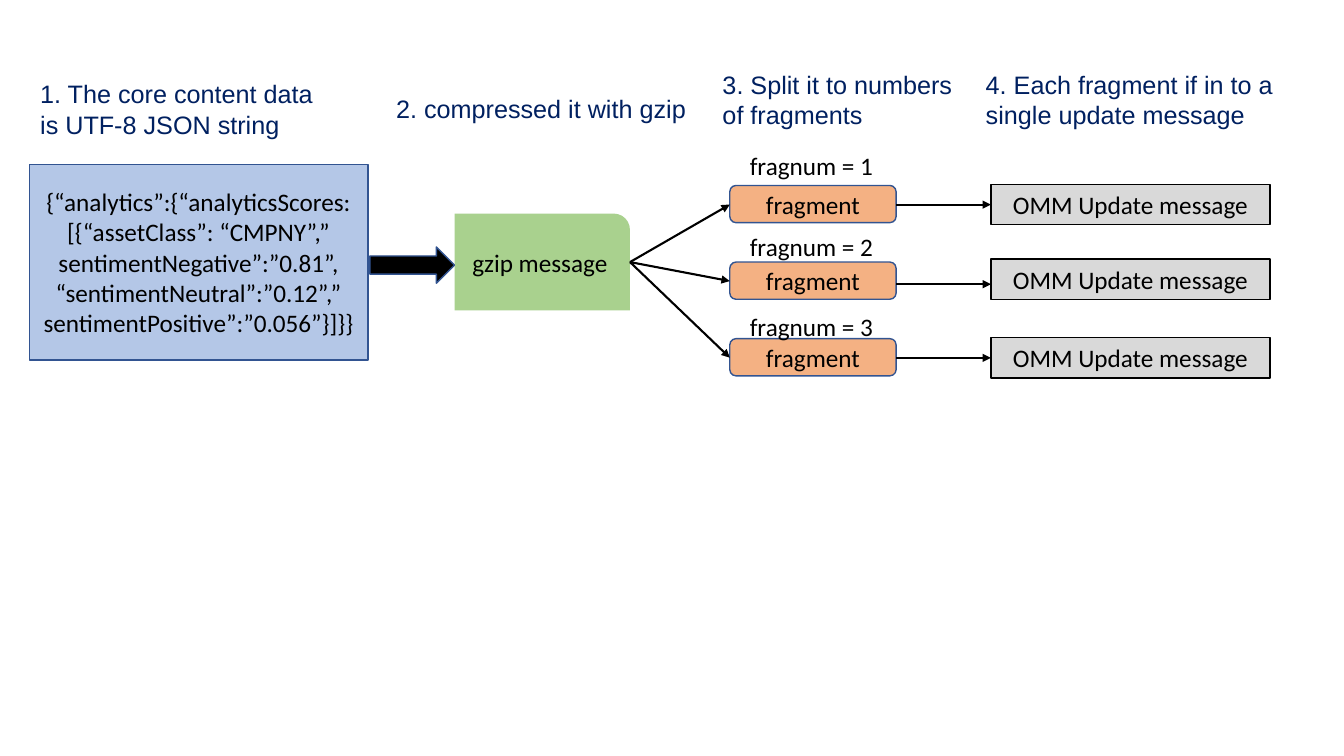
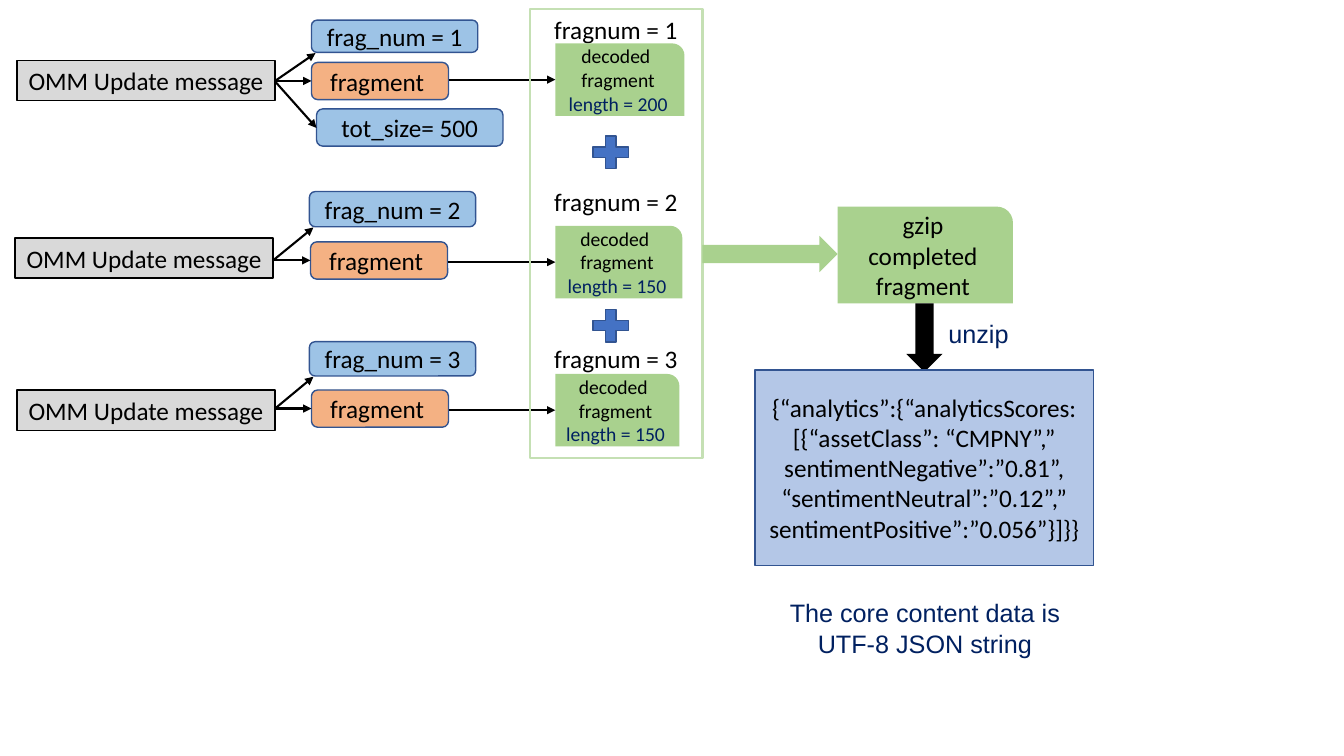
from lxml.etree import SubElement
from pptx import Presentation
from pptx.dml.color import RGBColor
from pptx.enum.shapes import MSO_CONNECTOR, MSO_SHAPE
from pptx.enum.text import MSO_ANCHOR, PP_ALIGN
from pptx.oxml.ns import qn
from pptx.util import Pt

BLACK = RGBColor(0x00, 0x00, 0x00)
NAVY = RGBColor(0x00, 0x20, 0x60)
EDGE = RGBColor(0x32, 0x54, 0x91)
ORANGE = RGBColor(0xF4, 0xB1, 0x83)
GREEN = RGBColor(0xA9, 0xD1, 0x8E)
PALE = RGBColor(0xC5, 0xE0, 0xB4)
GRAY = RGBColor(0xD9, 0xD9, 0xD9)
SKY = RGBColor(0x9D, 0xC3, 0xE6)
ICE = RGBColor(0xB4, 0xC7, 0xE7)
BLUE = RGBColor(0x44, 0x72, 0xC4)

JSON = (
    "{“analytics”:{“analyticsScores:[{“assetClass”: “CMPNY”,” "
    "sentimentNegative”:”0.81”, “sentimentNeutral”:”0.12”,” "
    "sentimentPositive”:”0.056”}]}}"
)


def write(frame, text, size=18, font="Calibri", color=BLACK,
          align=PP_ALIGN.CENTER, last=None):
    frame.word_wrap = True
    rows = text.split("\n")
    for i, row in enumerate(rows):
        para = frame.paragraphs[0] if i == 0 else frame.add_paragraph()
        para.alignment = align
        run = para.add_run()
        run.text = row
        run.font.size = Pt(size)
        run.font.name = font
        end = last is not None and i == len(rows) - 1
        run.font.color.rgb = last if end else color


class Deck:
    def __init__(self):
        self.show = Presentation()
        self.show.slide_width = Pt(960)
        self.show.slide_height = Pt(540)
        self.slide = None

    def page(self):
        self.slide = self.show.slides.add_slide(self.show.slide_layouts[6])

    def shape(self, kind, x, y, w, h, fill=None, line=None, width=1,
              text=None, **style):
        item = self.slide.shapes.add_shape(kind, Pt(x), Pt(y), Pt(w), Pt(h))
        item.shadow.inherit = False
        if fill is None:
            item.fill.background()
        else:
            item.fill.solid()
            item.fill.fore_color.rgb = fill
        if line is None:
            item.line.fill.background()
        else:
            item.line.color.rgb = line
            item.line.width = Pt(width)
        if text:
            item.text_frame.vertical_anchor = MSO_ANCHOR.MIDDLE
            write(item.text_frame, text, **style)
        return item

    def pill(self, x, y, w, h, fill, text):
        self.shape(MSO_SHAPE.ROUNDED_RECTANGLE, x, y, w, h, fill, EDGE,
                   text=text)

    def chip(self, x, y, w, h, text, **style):
        self.shape(MSO_SHAPE.ROUND_1_RECTANGLE, x, y, w, h, GREEN,
                   text=text, **style)

    def update(self, x, y, w):
        self.shape(MSO_SHAPE.RECTANGLE, x, y, w, 28.8, GRAY, BLACK,
                   text="OMM Update message")

    def json(self, x, y):
        self.shape(MSO_SHAPE.RECTANGLE, x, y, 241.9, 139.7, ICE, EDGE,
                   text=JSON)

    def label(self, x, y, w, h, text, **style):
        box = self.slide.shapes.add_textbox(Pt(x), Pt(y), Pt(w), Pt(h))
        write(box.text_frame, text, **style)

    def note(self, x, y, w, h, text, align=PP_ALIGN.LEFT):
        self.label(x, y, w, h, text, font="Arial", color=NAVY, align=align)

    def count(self, x, y, num):
        self.label(x, y, 118.8, 28.8, f"fragnum = {num}",
                   align=PP_ALIGN.LEFT)

    def arrow(self, x1, y1, x2, y2):
        link = self.slide.shapes.add_connector(
            MSO_CONNECTOR.STRAIGHT, Pt(x1), Pt(y1), Pt(x2), Pt(y2))
        link.line.color.rgb = BLACK
        link.line.width = Pt(1.5)
        props = link._element.spPr
        SubElement(props.find(qn("a:ln")), qn("a:tailEnd"), type="triangle")
        SubElement(props, qn("a:effectLst"))


def split(deck):
    deck.page()
    deck.chip(324.7, 152.6, 125.3, 69.1, "gzip message")
    stops = [(131.8, 146.2), (185, 203), (241.2, 255.6)]
    for i, (top, mid) in enumerate(stops):
        y = 132.5 + 54.7 * i
        deck.pill(521.3, y, 118.8, 26.6, ORANGE, "fragment")
        deck.count(528.5, 103.8 + 57.6 * i, i + 1)
        deck.update(707.8, top, 199.4)
        deck.arrow(450, 187.2, 521.3, y + 13.6)
        deck.arrow(640.1, mid, 707.8, mid)
    deck.shape(MSO_SHAPE.RIGHT_ARROW, 264.2, 176.4, 60.5, 25.9, BLACK, EDGE)
    deck.note(21.6, 52.6, 222.5, 51.1,
              "1. The core content data is UTF-8 JSON string")
    deck.note(275.8, 63.4, 222.5, 28.8, "2. compressed it with gzip")
    deck.note(509, 46.1, 178.6, 51.1, "3. Split it to numbers of fragments")
    deck.note(697, 46.1, 222.5, 51.1,
              "4. Each fragment if in to a single update message")
    deck.json(20.9, 117.4)


def merge(deck):
    deck.page()
    rows = [
        (12.2, 43.2, 222.5, 44.6, 222.5, 14.4, 23, 6.5, 31, 92.2, 200),
        (10.8, 169.9, 221.8, 172.8, 221, 136.8, 25.2, 129.6, 161.3, 90.7, 150),
        (12.2, 278.6, 222.5, 278.6, 221, 244.1, 24.5, 241.9, 267.1, 88.6, 150),
    ]
    for num, row in enumerate(rows, 1):
        left, top, px, py, nx, ny, nh, head, cy, cw, size = row
        mid = py + 13.2
        deck.update(left, top, 184.3)
        deck.pill(px, py, 97.9, 26.6, ORANGE, "fragment ")
        deck.pill(nx, ny, 118.8, nh, SKY, f"frag_num = {num}")
        deck.count(388.8, head, num)
        deck.chip(396.7, cy, cw, 51.8,
                  f"decoded \nfragment\nlength = {size}", size=14, last=NAVY)
        deck.arrow(left + 184.3, mid, px, mid)
        deck.arrow(left + 184.3, mid, nx + 2.9, ny + nh + 0.5)
        deck.arrow(px + 97.9, cy + 25.9, 396.7, cy + 25.9)
    deck.pill(226.1, 77.8, 133.2, 26.6, SKY, "tot_size= 500")
    deck.arrow(196.6, 58.3, 226.1, 91.4)
    for y in (92.9, 216.7):
        deck.shape(MSO_SHAPE.MATH_PLUS, 419, y, 34.6, 31.7, BLUE, EDGE)
    deck.shape(MSO_SHAPE.RECTANGLE, 378.7, 6.5, 123.1, 320.4,
               line=PALE, width=1.5)
    deck.shape(MSO_SHAPE.RIGHT_ARROW, 501.8, 168.5, 96.5, 25.9, GREEN)
    deck.chip(598.3, 147.6, 125.3, 69.1, "gzip completed fragment")
    down = deck.shape(MSO_SHAPE.RIGHT_ARROW, 635.8, 228.2, 49, 25.9, BLACK)
    down.rotation = 90
    deck.note(670.3, 223.9, 63.4, 28.8, "unzip")
    deck.json(539.3, 264.2)
    deck.note(549.4, 423.4, 222.5, 51.1,
              "The core content data is UTF-8 JSON string", PP_ALIGN.CENTER)


deck = Deck()
split(deck)
merge(deck)
deck.show.save("out.pptx")
